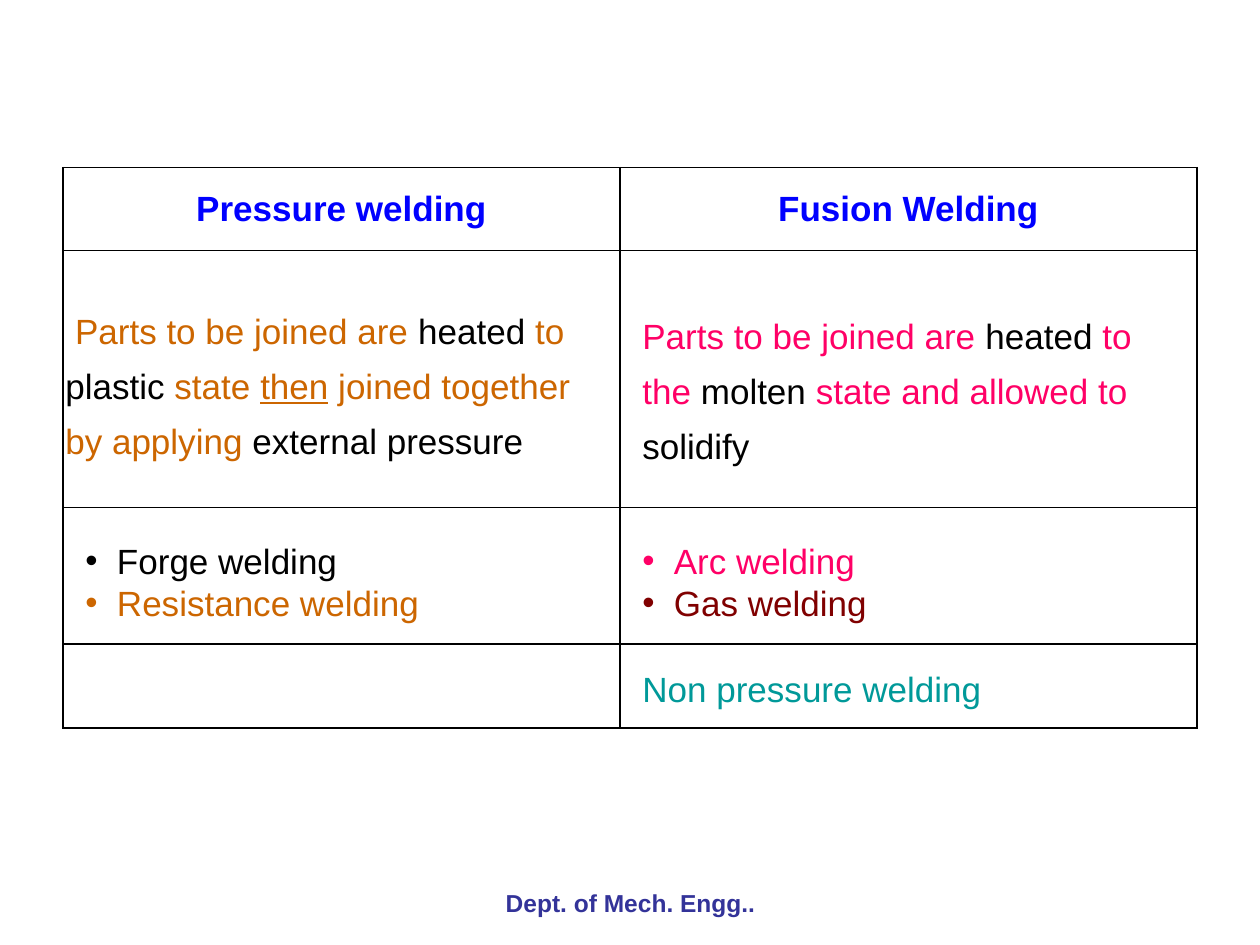
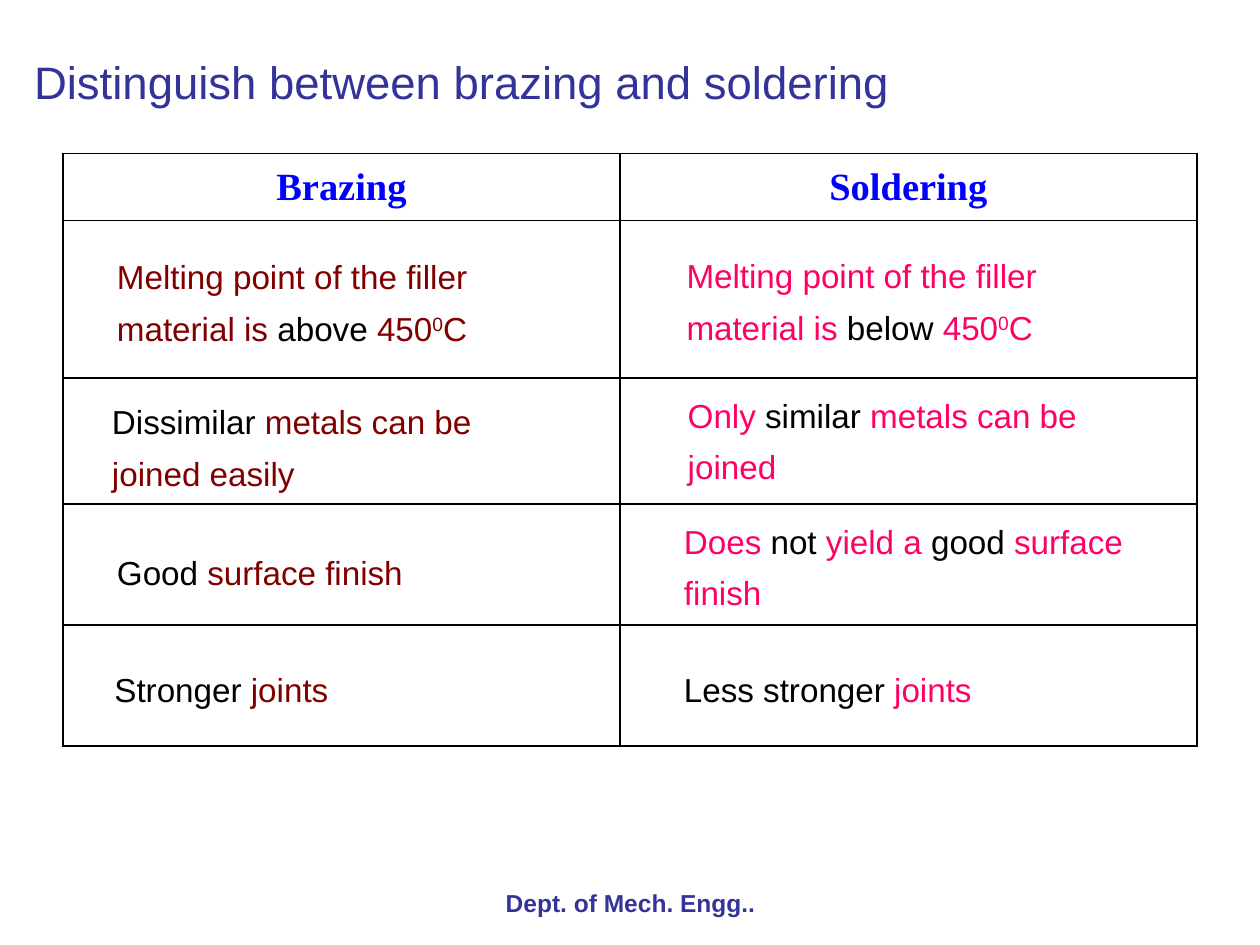
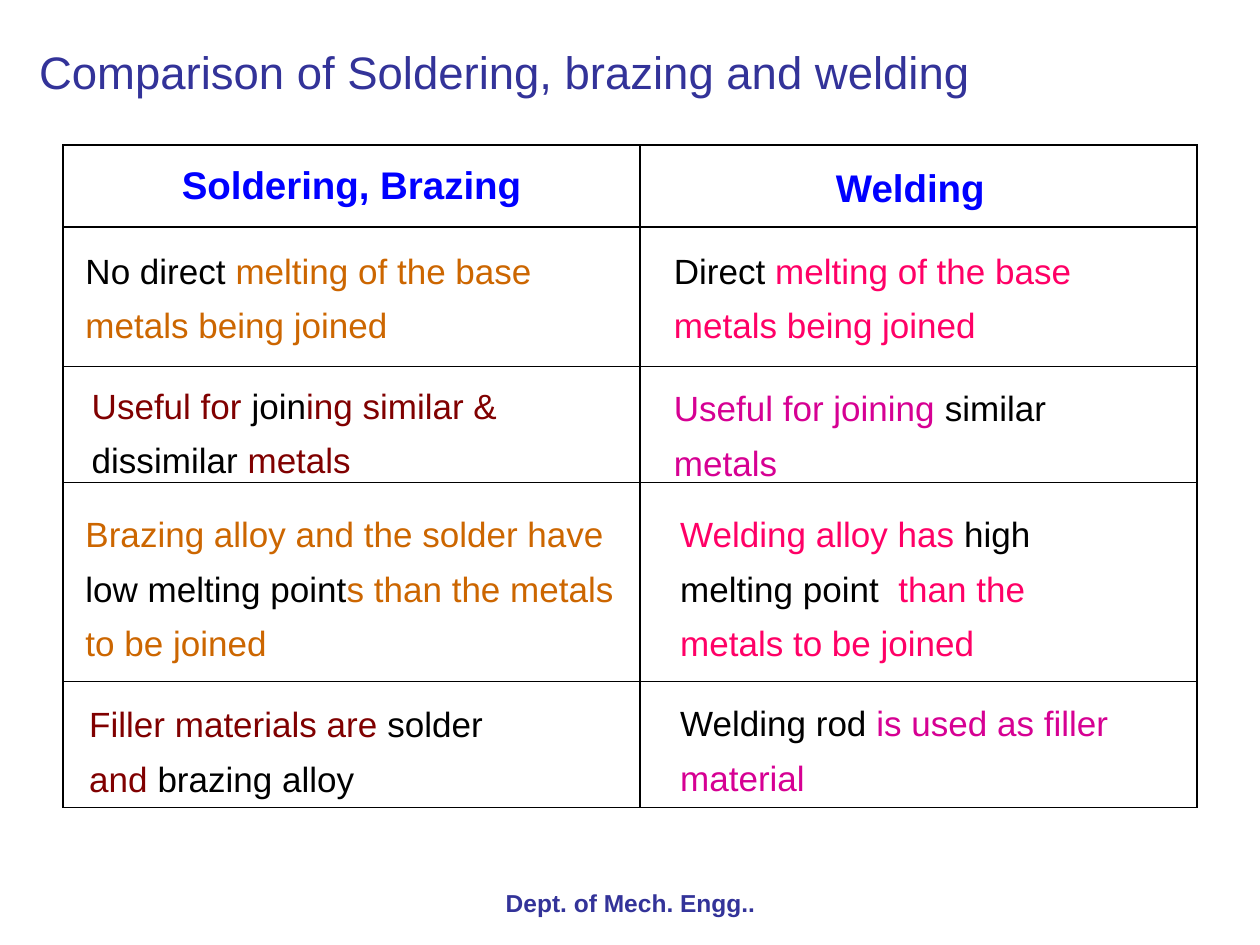
from lxml import etree
from pptx import Presentation
from pptx.dml.color import RGBColor
from pptx.enum.text import MSO_ANCHOR, PP_ALIGN
from pptx.oxml.ns import qn
from pptx.util import Inches, Pt

CENTER, LEFT = PP_ALIGN.CENTER, PP_ALIGN.LEFT
TOP, MIDDLE = MSO_ANCHOR.TOP, MSO_ANCHOR.MIDDLE
TITLE_ONLY, BLANK = 5, 6

# Shared look
FONT, SERIF = "Arial", "Times New Roman"
BLACK, BLUE, NAVY = "000000", "0000FF", "333399"
PINK, ORANGE, MAROON = "FF0066", "CC6600", "800000"
TEAL, MAGENTA = "009999", "D60093"
INSET = 0.1
LOOSE = 1.3
TABLE_LEFT = 0.5
FOOTER = "Dept. of Mech. Engg.."

# Each note: left, top, width, lines, paragraphs of (text, colour[, style])
SLIDES = [
    {
        "table": {"top": 1.33, "columns": [4.42, 4.58],
                  "rows": [0.66, 2.04, 1.08, 0.67],
                  "heads": ["Pressure welding", "Fusion Welding"],
                  "font": FONT, "size": 20},
        "size": 20,
        "notes": [
            (0.42, 2.31, 4.58, 3, [
                [(" Parts to be joined are ", ORANGE), ("heated", BLACK), (" to ", ORANGE),
                 ("plastic", BLACK), (" state ", ORANGE), ("then", ORANGE, "underline"),
                 (" joined together", ORANGE)],
                [("by applying ", ORANGE), ("external pressure", BLACK)]]),
            (5, 2.35, 4.5, 3, [
                [("Parts to be joined are ", PINK), ("heated", BLACK), (" to the ", PINK),
                 ("molten", BLACK), (" state and allowed to", PINK)],
                [("solidify", BLACK)]]),
        ],
        "bullets": [
            (0.58, 4.23, 3.42, 2, [[("Forge welding", BLACK)],
                                   [("Resistance welding", ORANGE)]]),
            (5, 4.23, 2.33, 2, [[("Arc welding", PINK)], [("Gas welding", MAROON)]]),
        ],
        "plain": [(5, 5.25, 4, 1, [[("Non pressure welding", TEAL)]])],
    },
    {
        "title": (0.17, 0.25, 8.62, 1,
                  [[("Distinguish between brazing and soldering", NAVY)]]),
        "table": {"top": 1.22, "columns": [4.42, 4.58],
                  "rows": [0.53, 1.25, 1, 0.96, 0.96],
                  "heads": ["Brazing", "Soldering"], "font": SERIF, "size": 22},
        "size": 19,
        "notes": [
            (0.83, 1.89, 3.75, 2, [
                [("Melting point of the filler material is ", MAROON), ("above ", BLACK),
                 ("450", MAROON), ("0", MAROON, "raised"), ("C", MAROON)]]),
            (5.35, 1.88, 3.75, 2, [
                [("Melting point of the filler material is ", PINK), ("below", BLACK),
                 (" 450", PINK), ("0", PINK, "raised"), ("C", PINK)]]),
            (0.79, 3.04, 3.75, 2, [
                [("Dissimilar", BLACK), (" metals can be joined easily", MAROON)]]),
            (5.36, 2.99, 3.75, 2, [
                [("Only ", PINK), ("similar", BLACK), (" metals can be joined", PINK)]]),
            (0.83, 4.24, 3.75, 1, [[("Good", BLACK), (" surface finish", MAROON)]]),
            (5.33, 3.99, 3.75, 2, [
                [("Does ", PINK), ("not", BLACK), (" yield a ", PINK), ("good", BLACK),
                 (" surface finish", PINK)]]),
            (0.81, 5.17, 3.75, 1, [[("Stronger", BLACK), (" joints", MAROON)]]),
            (5.33, 5.17, 3.75, 1, [[("Less stronger", BLACK), (" joints", PINK)]]),
        ],
    },
    {
        "title": (0.21, 0.17, 8.62, 1,
                  [[("Comparison of Soldering, brazing and welding", NAVY)]]),
        "table": {"top": 1.15, "columns": [4.58, 4.42],
                  "rows": [0.65, 1.11, 0.92, 1.58, 1],
                  "heads": ["Soldering, Brazing", "Welding"], "font": FONT, "size": 22,
                  "last_head_nudge": (0.11, 0.13)},
        "size": 20,
        "notes": [
            (0.58, 1.83, 4.25, 2, [
                [("No direct ", BLACK), ("melting of the base metals being joined", ORANGE)]]),
            (5.25, 1.83, 3.75, 2, [
                [("Direct", BLACK), (" melting of the base metals being joined", PINK)]]),
            (0.63, 2.9, 4, 2, [
                [("Useful for ", MAROON), ("join", BLACK), ("ing similar & ", MAROON),
                 ("dissimilar", BLACK), (" metals", MAROON)]]),
            (5.25, 2.92, 3.75, 2, [
                [("Useful for joining ", MAGENTA), ("similar ", BLACK), ("metals", MAGENTA)]]),
            (0.58, 3.92, 4.58, 3, [
                [("Brazing alloy and the solder have ", ORANGE), ("low melting point", BLACK),
                 ("s than the metals to be joined", ORANGE)]]),
            (5.3, 3.92, 3.75, 3, [
                [("Welding alloy has ", PINK), ("high melting point ", BLACK),
                 (" than the metals to be joined", PINK)]]),
            (0.61, 5.43, 3.75, 2, [
                [("Filler materials are ", MAROON), ("solder", BLACK), (" and ", MAROON),
                 ("brazing alloy", BLACK)]]),
            (5.3, 5.42, 3.75, 2, [
                [("Welding rod ", BLACK), ("is used as filler material", MAGENTA)]]),
        ],
    },
]


def rgb(color):
    return RGBColor.from_string(color)


def style_font(font, size, color, name=FONT, bold=False):
    font.name, font.size, font.bold = name, Pt(size), bold
    font.color.rgb = rgb(color)


def add_bullet(para):
    props = para._p.get_or_add_pPr()
    props.set("marL", str(Inches(0.25)))
    props.set("indent", str(Inches(-0.25)))
    etree.SubElement(props, qn("a:buFont")).set("typeface", FONT)
    etree.SubElement(props, qn("a:buChar")).set("char", "•")


def fill_box(box, note, size, spacing=1.0, bullets=False, align=LEFT, bold=False):
    """Place a box, sized by its line count, and write its coloured paragraphs."""
    left, top, width, lines, paragraphs = note
    height = 2 * 0.05 + lines * size * 1.2 * spacing / 72
    box.left, box.top = Inches(left), Inches(top)
    box.width, box.height = Inches(width), Inches(round(height, 2))
    frame = box.text_frame
    frame.word_wrap = True
    frame.vertical_anchor = TOP
    for index, spans in enumerate(paragraphs):
        para = frame.add_paragraph() if index else frame.paragraphs[0]
        para.alignment, para.line_spacing = align, spacing
        para.space_before = Pt(0)
        if bullets:
            add_bullet(para)
        for text, color, *styles in spans:
            span = para.add_run()
            span.text = text
            style_font(span.font, size, color, bold=bold)
            if "underline" in styles:
                span.font.underline = True
            if "raised" in styles:
                span._r.get_or_add_rPr().set("baseline", "30000")


def add_note(page, note, size, **options):
    fill_box(page.shapes.add_textbox(0, 0, 0, 0), note, size, **options)


def add_borders(cell):
    props = cell._tc.get_or_add_tcPr()
    for side in ("a:lnL", "a:lnR", "a:lnT", "a:lnB"):
        line = etree.SubElement(props, qn(side), w=str(Pt(1)))
        fill = etree.SubElement(line, qn("a:solidFill"))
        etree.SubElement(fill, qn("a:srgbClr")).set("val", BLACK)


def add_grid(page, grid):
    """Draw the ruled two-column table with its heading row."""
    columns, rows = grid["columns"], grid["rows"]
    frame = page.shapes.add_table(len(rows), len(columns), Inches(TABLE_LEFT),
                                  Inches(grid["top"]), Inches(sum(columns)),
                                  Inches(sum(rows)))
    table = frame.table
    table.first_row = table.horz_banding = False
    for column, width in zip(table.columns, columns):
        column.width = Inches(width)
    for row, height in zip(table.rows, rows):
        row.height = Inches(height)
    for cell in table.iter_cells():
        add_borders(cell)
        cell.fill.background()
    for index, head in enumerate(grid["heads"]):
        cell = table.cell(0, index)
        cell.vertical_anchor = MIDDLE
        cell.text_frame.text = head
        para = cell.text_frame.paragraphs[0]
        para.alignment = CENTER
        style_font(para.runs[0].font, grid["size"], BLUE, grid["font"], True)
    if "last_head_nudge" in grid:
        down, inward = grid["last_head_nudge"]
        cell.margin_top = Inches(down)
        cell.margin_right = Inches(INSET + inward)


def add_page(deck, content):
    title = content.get("title")
    page = deck.slides.add_slide(deck.slide_layouts[TITLE_ONLY if title else BLANK])
    if title:
        fill_box(page.shapes.title, title, 26, spacing=LOOSE)
    add_grid(page, content["table"])
    size = content["size"]
    for note in content["notes"]:
        add_note(page, note, size, spacing=LOOSE)
    for note in content.get("bullets", []):
        add_note(page, note, size, bullets=True)
    for note in content.get("plain", []):
        add_note(page, note, size)
    add_note(page, (3.42, 7, 3.17, 1, [[(FOOTER, NAVY)]]), 14, align=CENTER, bold=True)


def main():
    deck = Presentation()
    deck.slide_width, deck.slide_height = Inches(10), Inches(7.5)
    for content in SLIDES:
        add_page(deck, content)
    deck.save("out.pptx")


if __name__ == "__main__":
    main()
